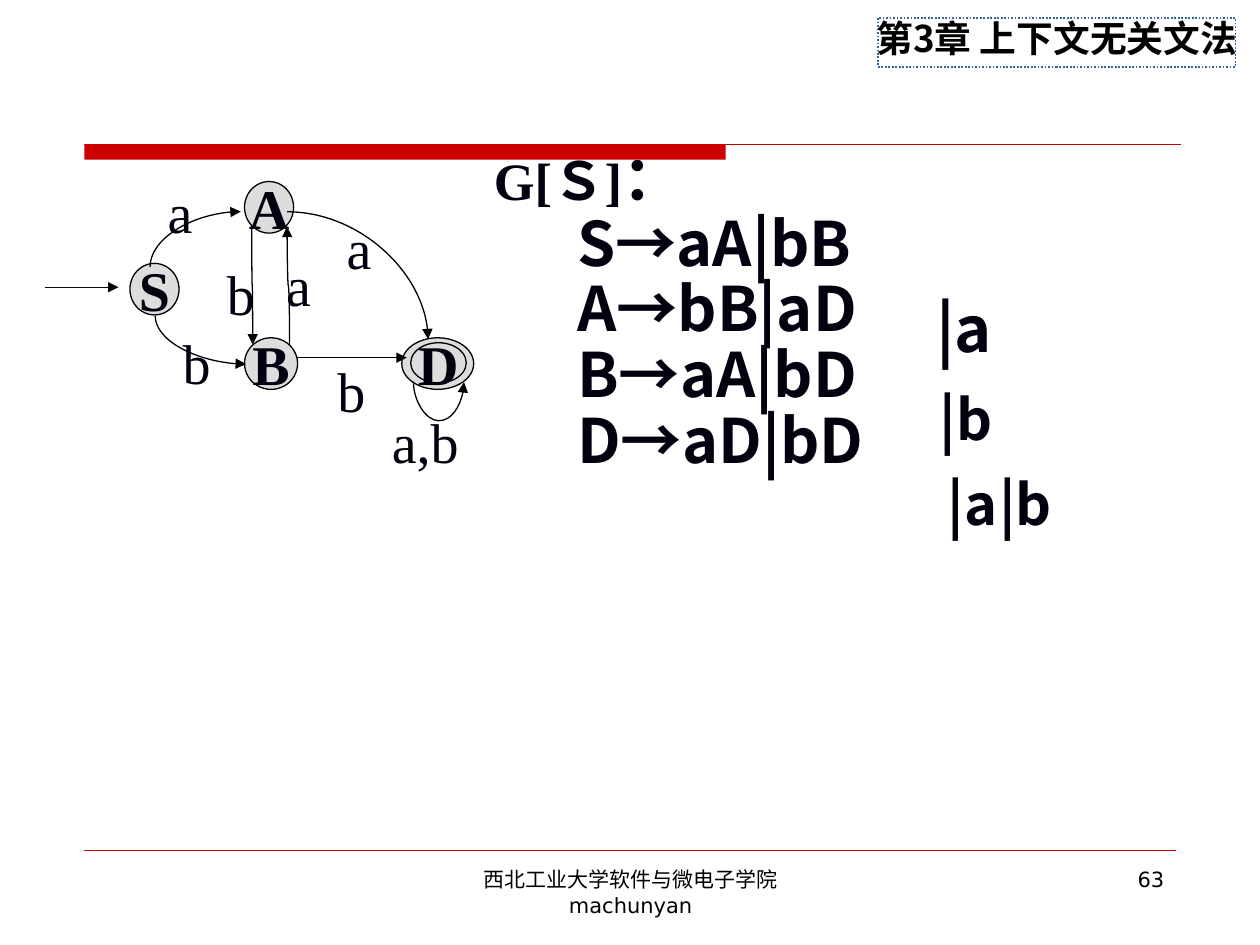
from typing import NamedTuple

from lxml import etree
from pptx import Presentation
from pptx import util as u
from pptx.dml.color import RGBColor
from pptx.enum import dml, shapes, text
from pptx.oxml.ns import qn

RED = RGBColor(0xCC, 0x00, 0x00)
BLUE = RGBColor(0x33, 0x66, 0x99)
GREY = RGBColor(0xDD, 0xDD, 0xDD)
BLACK = RGBColor(0x00, 0x00, 0x00)
START_INK = RGBColor(0x07, 0x07, 0x09)
INK = RGBColor(0x03, 0x01, 0x0F)
SERIF, SANS = "Times New Roman", "DejaVu Sans"
CJK, CJK_HEAD = "Noto Sans CJK SC", "Noto Sans CJK JP"
CENTER, RIGHT = text.PP_ALIGN.CENTER, text.PP_ALIGN.RIGHT
MIDDLE = text.MSO_ANCHOR.MIDDLE
GROW = text.MSO_AUTO_SIZE.SHAPE_TO_FIT_TEXT


class Box(NamedTuple):
    """Left, top, width and height in centimetres."""
    left: float
    top: float
    width: float
    height: float


class Style(NamedTuple):
    size: float
    name: str
    color: RGBColor = INK
    bold: bool = False


class State(NamedTuple):
    label: str
    box: Box


class Arc(NamedTuple):
    box: Box
    turn: int
    mirrored: bool
    preset: str
    bend: int | None = None


class Label(NamedTuple):
    words: str
    box: Box
    style: Style


def lengths(values) -> list:
    return [u.Cm(value) for value in values]


def set_all(target, values: dict) -> None:
    for key, value in values.items():
        setattr(target, key, value)


def add_span(para, words: str, style: Style) -> None:
    span = para.add_run()
    span.text = words
    set_all(span.font, {"size": u.Pt(style.size), "name": style.name, "bold": style.bold})
    span.font.color.rgb = style.color
    east_asian = style.name if style.name in (CJK, CJK_HEAD) else CJK
    etree.SubElement(span.font._element, qn("a:ea"), typeface=east_asian)


def write(shape, words: str, style: Style, para_format: dict, **frame_format) -> None:
    set_all(shape.text_frame, frame_format)
    para = shape.text_frame.paragraphs[0]
    set_all(para, para_format)
    add_span(para, words, style)


def add_textbox(page, box: Box, words: str, style: Style, para_format: dict, **frame_format) -> None:
    write(page.shapes.add_textbox(*lengths(box)), words, style, para_format, **frame_format)


def add_shape(page, kind, box: Box, fill=None, line=None, width: float = 0.75):
    shape = page.shapes.add_shape(kind, *lengths(box))
    shape.shadow.inherit = False
    if fill is None:
        shape.fill.background()
    else:
        shape.fill.solid()
        shape.fill.fore_color.rgb = fill
    if line is None:
        shape.line.fill.background()
    else:
        shape.line.color.rgb = line
        shape.line.width = u.Pt(width)
    return shape


def add_line(page, ends, color=BLACK, width: float = 0.75, arrow: bool = False,
             kind=shapes.MSO_CONNECTOR.STRAIGHT):
    line = page.shapes.add_connector(kind, *lengths(ends))
    line.line.color.rgb = color
    line.line.width = u.Pt(width)
    if arrow:
        etree.SubElement(line.line._get_or_add_ln(), qn("a:tailEnd"), type="triangle")
    etree.SubElement(line._element.spPr, qn("a:effectLst"))
    return line


def add_arc(page, arc: Arc) -> None:
    left, top, width, height = arc.box
    ends = (left, top, left + width, top + height)
    line = add_line(page, ends, arrow=True, kind=shapes.MSO_CONNECTOR.CURVE)
    properties = line._element.spPr
    frame = properties.find(qn("a:xfrm"))
    frame.set("rot", str(arc.turn * 60000))
    if arc.mirrored:
        frame.set("flipH", "1")
    geometry = properties.find(qn("a:prstGeom"))
    geometry.set("prst", arc.preset)
    if arc.bend is not None:
        guides = geometry.find(qn("a:avLst"))
        etree.SubElement(guides, qn("a:gd"), name="adj1", fmla=f"val {arc.bend}")


def add_grammar(page) -> None:
    body = page.placeholders[1]
    set_all(body, dict(zip(("left", "top", "width", "height"), lengths((9.7, 2.92, 14.17, 8.69)))))
    frame = body.text_frame
    set_all(frame, {"auto_size": text.MSO_AUTO_SIZE.NONE, "word_wrap": True, "margin_top": u.Cm(0.17)})
    rule_style = Style(35, CJK, bold=True)
    lines = [[("G[Ｓ]", Style(30, SERIF, bold=True)), ("：", rule_style)]]
    lines += [[(rule, rule_style)] for rule in ("S→aA|bB", "A→bB|aD", "B→aA|bD", "D→aD|bD")]
    for index, spans in enumerate(lines):
        para = frame.add_paragraph() if index else frame.paragraphs[0]
        properties = para._p.get_or_add_pPr()
        properties.set("marL", str(u.Cm(1.68 if index else 0)))
        properties.set("indent", "0")
        etree.SubElement(properties, qn("a:buNone"))
        set_all(para, {"line_spacing": 0.8, "space_before": u.Pt(4 if index else 0)})
        for words, style in spans:
            add_span(para, words, style)


STATES = [
    State("", Box(8.1, 6.81, 1.45, 1.04)),  # outer ring of the final state
    State("D", Box(8.28, 6.91, 1.12, 0.81)),
    State("B", Box(4.93, 6.81, 1.07, 1.04)),
    State("A", Box(4.93, 3.66, 0.99, 1.04)),
    State("S", Box(2.62, 5.31, 0.99, 1.04)),
]
ARCS = [
    Arc(Box(3.38, 3.91, 1.12, 1.83), 270, False, "curvedConnector2"),  # S to A
    Arc(Box(3.56, 5.94, 0.97, 1.83), 270, True, "curvedConnector2"),  # S to B
    Arc(Box(4.62, 5.74, 2.39, 0.05), 90, True, "curvedConnector3", 50000),  # B to A
    Arc(Box(3.89, 5.74, 2.39, 0.02), 270, True, "curvedConnector3", 50000),  # A to B
    Arc(Box(8.84, 7.19, 0.01, 1.02), 270, True, "curvedConnector3", 7870000),  # D to D
    Arc(Box(5.79, 4.27, 2.84, 2.57), 0, False, "curvedConnector2"),  # A to D
]
EDGE = Style(32, SERIF)
EDGE_LABELS = [
    Label(words, Box(left, top, width, 1.6), EDGE)
    for words, width, places in (
        ("a", 1.02, [(3.12, 3.45), (5.51, 4.93), (6.73, 4.19)]),
        ("b", 1.07, [(3.43, 6.5), (4.32, 5.11), (6.55, 7.06)]),
        ("a,b", 1.85, [(7.65, 8.1)]),
    )
    for left, top in places
]
ENDING = Style(32, CJK, bold=True)
ENDINGS = [
    Label("|a", Box(18.62, 5.72, 4.83, 1.78), Style(36, CJK, bold=True)),
    Label("|b", Box(18.69, 7.62, 5.56, 1.6), ENDING),
    Label("|a", Box(18.85, 9.35, 4.22, 1.6), ENDING),
    Label("|b", Box(19.89, 9.35, 3.96, 1.6), ENDING),
]


def main() -> None:
    deck = Presentation()
    set_all(deck, {"slide_width": u.Cm(25.4), "slide_height": u.Cm(19.05)})
    page = deck.slides.add_slide(deck.slide_layouts[1])
    title = page.shapes.title._element
    title.getparent().remove(title)

    # Rules, chapter heading and footer
    add_shape(page, shapes.MSO_SHAPE.RECTANGLE, Box(1.7, 2.92, 12.93, 0.3), fill=RED)
    add_line(page, (1.7, 2.92, 23.8, 2.92), RED)
    add_line(page, (1.7, 17.15, 23.7, 17.15), RED, 0.25)
    heading = add_shape(page, shapes.MSO_SHAPE.RECTANGLE, Box(17.7, 0.36, 7.21, 0.99), line=BLUE, width=1)
    heading.line.dash_style = dml.MSO_LINE.ROUND_DOT
    write(heading, "第3章 上下文无关文法", Style(21, CJK_HEAD, BLACK, True),
          {"alignment": CENTER, "line_spacing": 0.75}, word_wrap=False, vertical_anchor=MIDDLE)
    footer = Style(12, SANS, BLACK)
    add_textbox(page, Box(8.69, 17.35, 8.05, 1.32), "西北工业大学软件与微电子学院 machunyan",
                footer, {"alignment": CENTER}, word_wrap=True)
    add_textbox(page, Box(18.21, 17.35, 5.51, 1.32), "63", footer, {"alignment": RIGHT}, word_wrap=True)

    # Grammar and its extra endings
    add_grammar(page)
    for label in ENDINGS:
        add_textbox(page, label.box, label.words, label.style, {}, word_wrap=True, auto_size=GROW)

    # Automaton
    for state in STATES:
        circle = add_shape(page, shapes.MSO_SHAPE.OVAL, state.box, GREY, BLACK)
        if state.label:
            write(circle, state.label, Style(32, SERIF, bold=True), {"alignment": CENTER},
                  word_wrap=False, vertical_anchor=MIDDLE)
    for arc in ARCS:
        add_arc(page, arc)
    add_line(page, (5.99, 7.21, 8.2, 7.21), arrow=True)
    add_line(page, (0.91, 5.79, 2.39, 5.79), START_INK, arrow=True)
    for label in EDGE_LABELS:
        add_textbox(page, label.box, label.words, label.style, {"alignment": CENTER},
                    word_wrap=False, vertical_anchor=MIDDLE, auto_size=GROW)

    deck.save("out.pptx")


if __name__ == "__main__":
    main()
